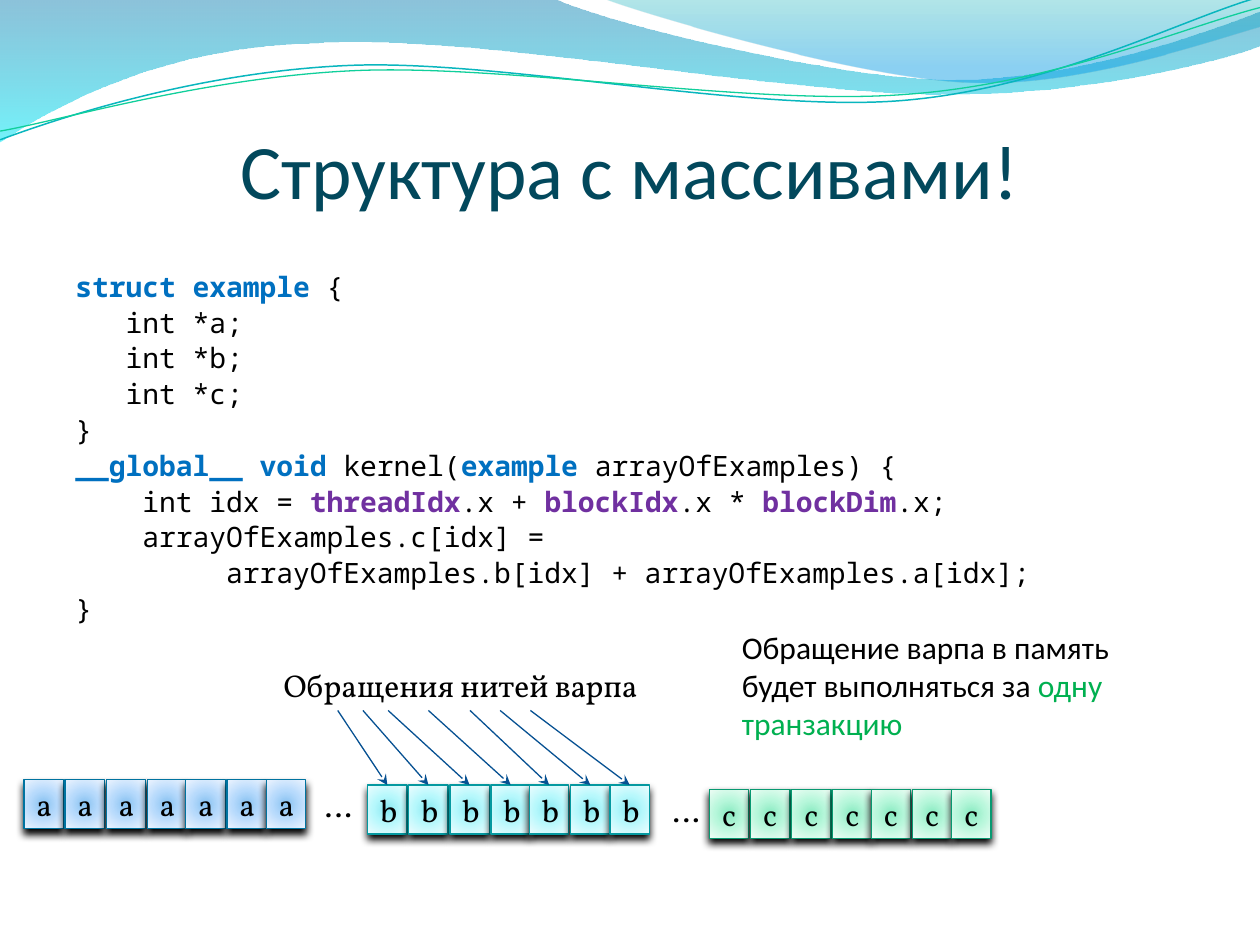
"""Build the slide on a structure of arrays and coalesced warp access."""
import math

import pptx
import pptx.dml.color
import pptx.enum.shapes
import pptx.enum.text
import pptx.oxml
import pptx.oxml.ns
import pptx.util

Pt = pptx.util.Pt
qn = pptx.oxml.ns.qn
PP_ALIGN = pptx.enum.text.PP_ALIGN
ANCHOR = pptx.enum.text.MSO_ANCHOR
AUTO = pptx.enum.text.MSO_AUTO_SIZE
NS = pptx.oxml.ns.nsdecls("a")
BLACK, BLUE, PURPLE, GREEN = "000000", "0070C0", "7030A0", "00B050"


def rgb(color):
    """Return the colour for a hex string."""
    return pptx.dml.color.RGBColor.from_string(color)


def set_gradient(sp, stops, shade):
    """Fill a shape with (position, colour, opacity) stops, in percent."""
    sp.fill.gradient()
    gs = "".join(
        f'<a:gs pos="{pos * 1000}"><a:srgbClr val="{color}">'
        f'<a:alpha val="{alpha * 1000}"/></a:srgbClr></a:gs>'
        for pos, color, alpha in stops)
    spPr = sp._element.spPr
    spPr.replace(spPr.find(qn("a:gradFill")), pptx.oxml.parse_xml(
        f"<a:gradFill {NS}><a:gsLst>{gs}</a:gsLst>{shade}</a:gradFill>"))


prs = pptx.Presentation()
prs.slide_width, prs.slide_height = Pt(720), Pt(540)
s = prs.slides.add_slide(prs.slide_layouts[5])
texts = []

waves = [
    ([(0, 0), (316.8, -0.7), (342.7, 12.2, 478.1, 45.4, 545.8, 45.4),
      (614.2, 45.4, 689.8, 18.7, 720, 6.5), (720.7, 25.9),
      (707.8, 31.7, 626.4, 54.7, 537.1, 54), (446.4, 54, 275, 20.2, 185, 24.5),
      (92.9, 25.9, 33.1, 59.8, -0.7, 81.4), (0, 0)],
     [(0, "0079AD", 45), (100, "00E9F7", 55)], None, 0, 0),
    ([(344.9, -0.7), (366.5, 7.9, 491, 44.6, 553.7, 46.8),
      (616.3, 49.7, 691.9, 23, 720, 15.1), (720, 0), (344.9, -0.7)],
     [(0, "00ABB4", 30), (80, "0099E4", 45), (100, "0099E4", 45)], None, 0, 0),
    ([(0, 79.9), (34.6, 67, 113.8, 41, 199.4, 37.4),
      (284.4, 33.8, 427, 64.1, 513.4, 57.6), (599.8, 51.1, 675.4, 10.8, 718.6, -1.4)],
     None, "09B6BE", 0.85, -2.7),
    ([(0, 74.9), (33.8, 69.1, 118.1, 43.9, 203.8, 40.3),
      (290.2, 36.7, 429.8, 60.5, 516.2, 54), (601.9, 48.2, 677.5, 15.1, 720, 4.3)],
     None, "10CF9B", 0.75, -2.7),
]
for segments, stops, line, width, angle in waves:
    cos, sin = math.cos(math.radians(-angle)), math.sin(math.radians(-angle))
    cx, cy = 359.3, 42
    curves = [[(Pt(cx + (x - cx) * cos - (y - cy) * sin), Pt(cy + (x - cx) * sin + (y - cy) * cos))
               for x, y in zip(seg[::2], seg[1::2])] for seg in segments]
    fb = s.shapes.build_freeform(*curves[0][0])
    fb.add_line_segments([curve[-1] for curve in curves[1:]], close=bool(stops))
    sp = fb.convert_to_shape()
    for node, curve in zip(list(sp._element.iter(qn("a:lnTo"))), curves[1:]):
        if len(curve) == 3:
            pts = "".join(f'<a:pt x="{x - sp.left}" y="{y - sp.top}"/>' for x, y in curve)
            node.getparent().replace(node, pptx.oxml.parse_xml(
                f"<a:cubicBezTo {NS}>{pts}</a:cubicBezTo>"))
    sp.rotation = angle
    sp.shadow.inherit = False
    if stops:
        set_gradient(sp, stops, '<a:lin ang="5400000" scaled="0"/>')
        sp.line.fill.background()
    else:
        sp.fill.background()
        sp.line.color.rgb = rgb(line)
        sp.line.width = Pt(width)

title = s.shapes.title
title.left, title.top, title.width, title.height = Pt(36), Pt(60.5), Pt(648), Pt(62.6)
frame = {"margin_left": 0, "margin_right": 0, "margin_top": Pt(3.6), "margin_bottom": 0,
         "vertical_anchor": ANCHOR.BOTTOM, "word_wrap": True, "auto_size": AUTO.NONE}
texts.append((title, frame, {"alignment": PP_ALIGN.CENTER}, {"name": "Calibri", "size": Pt(44)},
              [[("Структура с массивами!", "02485C")]]))

code = [
    [("struct example", BLUE), (" {", BLACK)],
    [("   int *a;", BLACK)],
    [("   int *b;", BLACK)],
    [("   int *c;", BLACK)],
    [("}", BLACK)],
    [("__global__ void ", BLUE), ("kernel(", BLACK), ("example", BLUE),
     (" arrayOfExamples) {", BLACK)],
    [("    int idx = ", BLACK), ("threadIdx", PURPLE), (".x + ", BLACK), ("blockIdx", PURPLE),
     (".x * ", BLACK), ("blockDim", PURPLE), (".x;", BLACK)],
    [("    arrayOfExamples.c[idx] =", BLACK)],
    [("         arrayOfExamples.b[idx] + arrayOfExamples.a[idx];", BLACK)],
    [("}", BLACK)],
]
note = [[("Обращение варпа в память будет выполняться за", BLACK), (" одну транзакцию", GREEN)]]
fit = {"word_wrap": True, "auto_size": AUTO.SHAPE_TO_FIT_TEXT}
serif = {"name": "Vollkorn", "size": Pt(18)}
boxes = [
    (36, 152.5, 648, 219.6, {"word_wrap": True}, {"line_spacing": 0.9, "space_before": Pt(3.2)},
     {"name": "Noto Sans Mono", "size": Pt(16)}, code),
    (155, 377, 222.5, 28.8, fit, {}, serif, [[("Обращения нитей варпа", BLACK)]]),
    (416.9, 355.3, 254.9, 72.7, fit, {}, {"name": "Calibri", "size": Pt(18)}, note),
    (178.6, 445.7, 28.8, 28.8, fit, {}, serif, [[("…", BLACK)]]),
    (377.3, 448.6, 28.8, 28.8, fit, {}, serif, [[("…", BLACK)]]),
]
for x, y, w, h, frame, para, font, lines in boxes:
    sp = s.shapes.add_textbox(Pt(x), Pt(y), Pt(w), Pt(h))
    texts.append((sp, frame, para, font, lines))

offsets = [0, 23.5, 47, 70.5, 92.5, 116, 138.5]
arrays = [
    ("a", 13.7, 445.5, "0073A0", ["87C2F1", "B6DAFC", "E8F2FE", "F6FBFF"]),
    ("b", 210.1, 448.6, "0599A0", ["87E9F1", "B6F8FC", "E8FCFE", "F6FFFF"]),
    ("c", 405.4, 451, "089971", ["88EAC1", "B7F7DB", "E9FCF3", "F6FFFB"]),
]
cells = {}
for name, left, top, line, colors in arrays:
    cells[name] = []
    for dx in offsets:
        sp = s.shapes.add_shape(pptx.enum.shapes.MSO_SHAPE.RECTANGLE,
                                Pt(left + dx), Pt(top), Pt(22.5), Pt(28))
        set_gradient(sp, [(pos, c, 100) for pos, c in zip((0, 43, 93, 100), colors)],
                     '<a:path path="circle"><a:fillToRect l="50000" t="50000" '
                     'r="50000" b="50000"/></a:path>')
        sp.line.color.rgb = rgb(line)
        sp.line.width = Pt(0.75)
        sp.shadow.inherit = False
        sp._element.spPr.find(qn("a:effectLst")).append(pptx.oxml.parse_xml(
            f'<a:outerShdw {NS} blurRad="{Pt(4.5)}" dist="{Pt(3)}" dir="5400000" '
            f'rotWithShape="0"><a:srgbClr val="{BLACK}"/></a:outerShdw>'))
        texts.append((sp, {"vertical_anchor": ANCHOR.MIDDLE}, {"alignment": PP_ALIGN.CENTER},
                      serif, [[(name, BLACK)]]))
        cells[name].append(sp)

for x, cell in zip((193, 207.4, 221.8, 244.8, 268.6, 285.8, 303.1), cells["b"]):
    arrow = s.shapes.add_connector(pptx.enum.shapes.MSO_CONNECTOR.STRAIGHT,
                                   Pt(x), Pt(406), cell.left, cell.top)
    arrow.end_connect(cell, 0)
    arrow.line.color.rgb = rgb("075192")
    arrow.line.width = Pt(0.75)
    arrow.line._get_or_add_ln().append(pptx.oxml.parse_xml(f'<a:tailEnd {NS} type="stealth"/>'))
    arrow._element.spPr.append(pptx.oxml.parse_xml(f"<a:effectLst {NS}/>"))

for sp, frame, para, font, lines in texts:
    tf = sp.text_frame
    for key, value in frame.items():
        setattr(tf, key, value)
    for i, runs in enumerate(lines):
        p = tf.add_paragraph() if i else tf.paragraphs[0]
        for key, value in para.items():
            if i or key != "space_before":
                setattr(p, key, value)
        for text, color in runs:
            r = p.add_run()
            r.text = text
            for key, value in font.items():
                setattr(r.font, key, value)
            r.font.bold = color in (BLUE, PURPLE)
            r.font.color.rgb = rgb(color)

prs.save("out.pptx")
